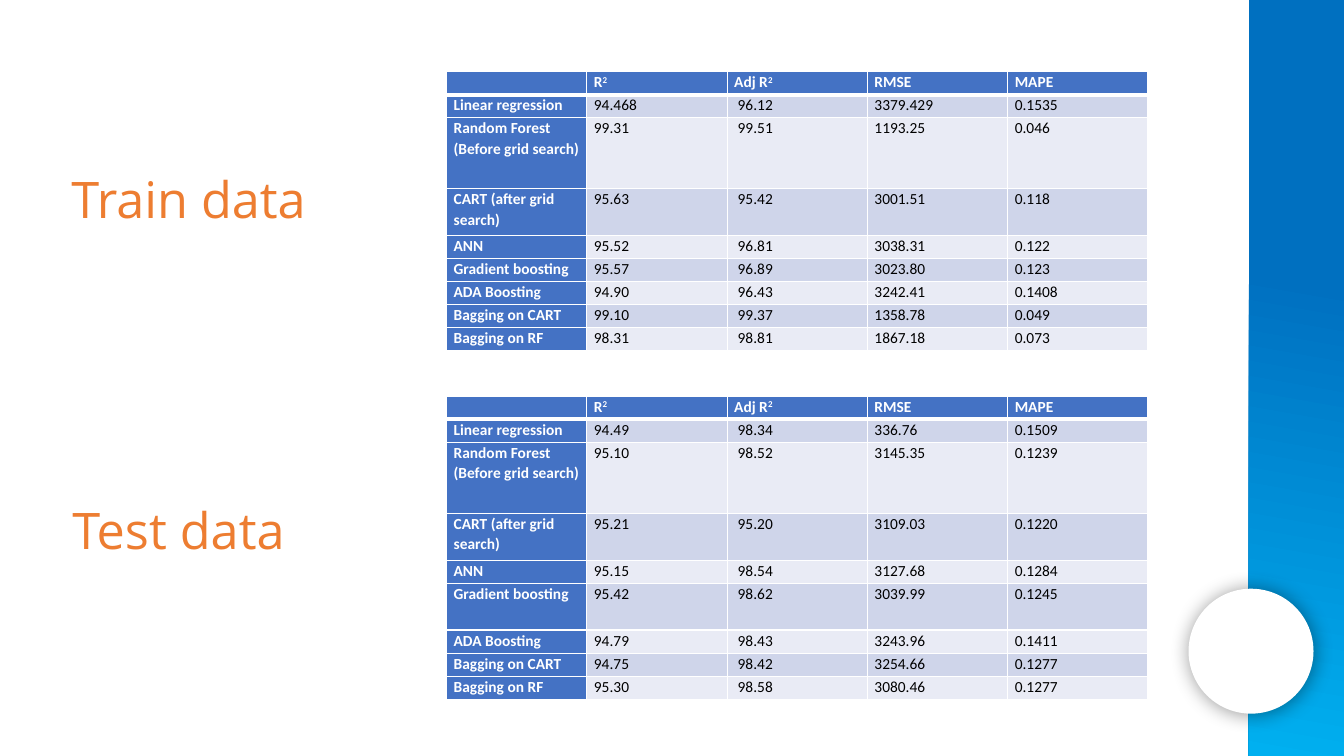
from lxml.etree import SubElement
from pptx import Presentation
from pptx.dml.color import RGBColor
from pptx.enum.shapes import MSO_SHAPE as Preset
from pptx.oxml.ns import qn
from pptx.util import Inches, Pt

ORANGE = RGBColor(0xED, 0x7D, 0x31)
DEEP_BLUE = RGBColor(0x00, 0x70, 0xC0)
SKY_BLUE = RGBColor(0x00, 0xB0, 0xF0)
HEADER_BLUE = RGBColor(0x44, 0x72, 0xC4)
BAND_DARK = RGBColor(0xCF, 0xD5, 0xEA)
BAND_LIGHT = RGBColor(0xE9, 0xEB, 0xF5)
WHITE = RGBColor(0xFF, 0xFF, 0xFF)
BLACK = RGBColor(0x00, 0x00, 0x00)

# Text after ^ is superscript
MEASURES = ["", "R^2", "Adj R^2", "RMSE", "MAPE"]
MODELS = ["Linear regression", "Random Forest (Before grid search)",
          "CART (after grid search)", "ANN", "Gradient boosting",
          "ADA Boosting", "Bagging on CART", "Bagging on RF"]
TRAIN_SCORES = [
    ("94.468", " 96.12", "3379.429", "0.1535"),
    ("99.31", " 99.51", "1193.25", "0.046"),
    ("95.63", " 95.42", "3001.51", "0.118"),
    ("95.52", " 96.81", "3038.31", "0.122"),
    ("95.57", " 96.89", "3023.80", "0.123"),
    ("94.90", " 96.43", "3242.41", "0.1408"),
    ("99.10", " 99.37", "1358.78", "0.049"),
    ("98.31", " 98.81", "1867.18", "0.073"),
]
TEST_SCORES = [
    ("94.49", " 98.34", "336.76", "0.1509"),
    ("95.10", " 98.52", "3145.35", "0.1239"),
    ("95.21", " 95.20", "3109.03", "0.1220"),
    ("95.15", " 98.54", "3127.68", "0.1284"),
    ("95.42", " 98.62", "3039.99", "0.1245"),
    ("94.79", " 98.43", "3243.96", "0.1411"),
    ("94.75", " 98.42", "3254.66", "0.1277"),
    ("95.30", " 98.58", "3080.46", "0.1277"),
]


class ScoreSlide:
    """Places elements by percent of the slide's width and height."""
    title_font, title_size = "Open Sans", Pt(36)
    table_font, table_size = "Calibri", Pt(11)
    row_height = 3.05

    def __init__(self, deck):
        self.deck = deck
        self.slide = deck.slides.add_slide(deck.slide_layouts[6])

    def across(self, share):
        return round(self.deck.slide_width * share / 100)

    def down(self, share):
        return round(self.deck.slide_height * share / 100)

    def area(self, left, top, width, height):
        return (self.across(left), self.down(top),
                self.across(width), self.down(height))

    def shape(self, preset, *place):
        shape = self.slide.shapes.add_shape(preset, *self.area(*place))
        shape.shadow.inherit = False
        shape.line.fill.background()
        return shape

    def gradient_band(self, *place):
        fill = self.shape(Preset.RECTANGLE, *place).fill
        fill.gradient()
        fill.gradient_angle = 260
        for stop, position, color in zip(fill.gradient_stops, (0.37, 1),
                                         (DEEP_BLUE, SKY_BLUE)):
            stop.position = position
            stop.color.rgb = color

    def shadowed_disc(self, *place):
        disc = self.shape(Preset.OVAL, *place)
        disc.fill.solid()
        disc.fill.fore_color.rgb = WHITE
        effects = disc._element.spPr.find(qn("a:effectLst"))
        shadow = SubElement(effects, qn("a:outerShdw"), blurRad=str(Pt(14)),
                            dist=str(Pt(1)), dir=str(43 * 60000), rotWithShape="0")
        color = SubElement(shadow, qn("a:srgbClr"), val=str(BLACK))
        SubElement(color, qn("a:alpha"), val="40000")

    def title(self, text, *place, drop):
        frame = self.slide.shapes.add_textbox(*self.area(*place)).text_frame
        frame.word_wrap = True
        frame.margin_top = self.down(drop)
        frame.text = text
        font = frame.paragraphs[0].runs[0].font
        font.name, font.size = self.title_font, self.title_size
        font.color.rgb = ORANGE

    def score_table(self, scores, left, top, width, tall_rows):
        rows = [MEASURES] + [[model, *row] for model, row in zip(MODELS, scores)]
        heights = [tall_rows.get(i, self.row_height) for i in range(len(rows))]
        table = self.slide.shapes.add_table(
            len(rows), len(MEASURES),
            *self.area(left, top, width, sum(heights))).table
        for column in table.columns:
            column.width = self.across(width / len(MEASURES))
        for r, (row, height) in enumerate(zip(rows, heights)):
            table.rows[r].height = self.down(height)
            for c, text in enumerate(row):
                self.score_cell(table.cell(r, c), text, r, c)

    def score_cell(self, cell, text, r, c):
        heading = r == 0 or c == 0
        cell.margin_left = cell.margin_right = Inches(0.07)
        cell.margin_top = cell.margin_bottom = 0

        # Borders, thick under the header row
        properties = cell._tc.get_or_add_tcPr()
        for side in "LRTB":
            thick = (r, side) in ((0, "B"), (1, "T"))
            line = SubElement(properties, qn(f"a:ln{side}"),
                              w=str(Pt(3 if thick else 1)))
            fill = SubElement(line, qn("a:solidFill"))
            SubElement(fill, qn("a:srgbClr"), val=str(WHITE))
        cell.fill.solid()
        cell.fill.fore_color.rgb = (HEADER_BLUE if heading else
                                    BAND_DARK if r % 2 else BAND_LIGHT)

        # Text
        base, _, power = text.partition("^")
        cell.text_frame.text = base
        paragraph = cell.text_frame.paragraphs[0]
        paragraph.line_spacing = 1.07
        paragraph.space_after = Pt(8)
        if power:
            exponent = paragraph.add_run()
            exponent.text = power
            exponent.font._element.set("baseline", "30000")
        for run in paragraph.runs:
            run.font.name, run.font.size = self.table_font, self.table_size
            run.font.bold = heading
            run.font.color.rgb = WHITE if heading else BLACK
        if not text:
            SubElement(paragraph._p, qn("a:endParaRPr"), sz="1100")


def main():
    deck = Presentation()
    deck.slide_width, deck.slide_height = Inches(13.33), Inches(7.5)
    page = ScoreSlide(deck)

    # Side decoration
    page.gradient_band(92.93, 0, 7.07, 100)
    page.shadowed_disc(88.43, 77.87, 9.3, 16.53)

    # Train scores
    page.title("Train data", 4.58, 9.47, 52.2, 26, drop=12.8)
    page.score_table(TRAIN_SCORES, 33.23, 9.47, 52.2, {2: 9.4, 3: 6.2})

    # Test scores
    page.title("Test data", 4.65, 57.73, 50.63, 21.6, drop=8.27)
    page.score_table(TEST_SCORES, 33.23, 52.4, 52.2, {2: 9.4, 3: 6.2, 5: 6.2})

    deck.save("out.pptx")


if __name__ == "__main__":
    main()
